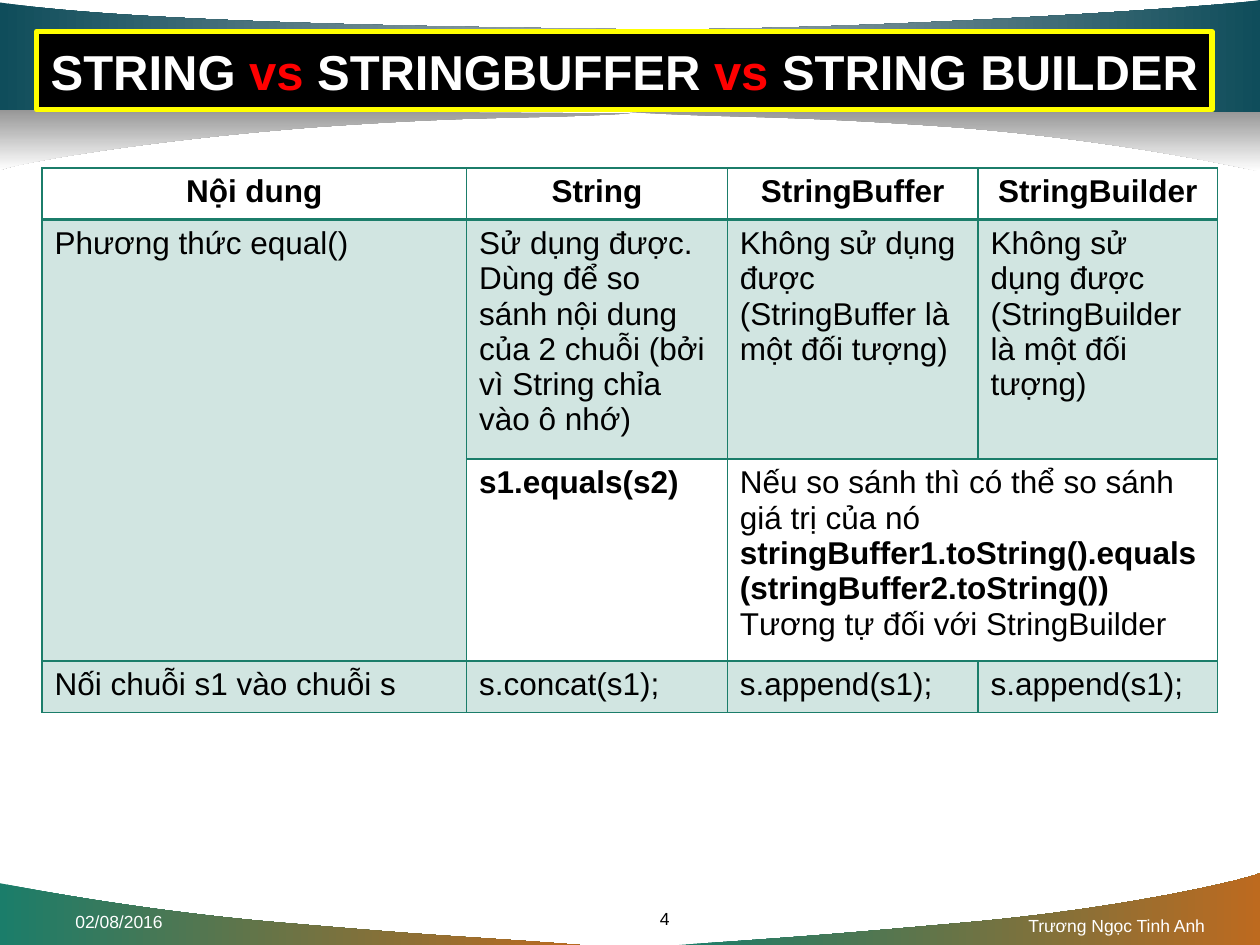
from dataclasses import dataclass
from typing import NamedTuple

from lxml.etree import SubElement
from pptx import Presentation
from pptx.dml.color import RGBColor
from pptx.enum.text import MSO_ANCHOR as Anchor, MSO_AUTO_SIZE as AutoSize, PP_ALIGN as Align
from pptx.oxml.ns import qn
from pptx.util import Inches, Pt


@dataclass(frozen=True)
class Theme:
    font: str = "Arial"
    teal: str = "1B7D6A"
    orange: str = "BD6A1F"
    navy: str = "0F4D5B"
    silver: str = "A5ACB0"
    gray: str = "969696"
    white: str = "FFFFFF"
    black: str = "000000"
    red: str = "FF0000"
    yellow: str = "FFFF00"
    title_size: int = 28
    table_size: int = 18
    footer_size: int = 10
    tint: int = 20


class Run(NamedTuple):
    text: str
    color: str | None = None
    bold: bool | None = None


class Band(NamedTuple):
    start: tuple
    curves: list
    corners: list
    colors: list
    angle: int = 0


class Entry(NamedTuple):
    row: int
    column: int
    paragraphs: list
    rows: int = 1
    columns: int = 1


class Footer(NamedTuple):
    text: str
    left: float
    top: float
    width: float
    align: Align
    color: str


THEME = Theme()
WIDTH, HEIGHT = 10, 7.5

FOOTER_COLORS = [THEME.teal, THEME.orange]
SHADE_COLORS = [THEME.gray, THEME.white]
BANDS = [
    Band((4.6, HEIGHT), [((3.84, 7.44), (3.58, 7.44), (2.32, 7.33)),
                         ((1.06, 7.23), (0.01, 7.01), (0, 7.01))],
         [(0, HEIGHT)], FOOTER_COLORS),
    Band((5.39, HEIGHT), [((6.14, 7.45), (6.46, 7.43), (7.69, 7.32)),
                          ((8.92, 7.21), (9.9, 6.98), (WIDTH, 6.93))],
         [(WIDTH, HEIGHT)], FOOTER_COLORS),
    Band((5, 0.89), [((5.84, 0.94), (6.2, 0.91), (7.58, 1.01)),
                     ((8.97, 1.12), (9.98, 1.36), (WIDTH, 1.36))],
         [(WIDTH, 0.88)], SHADE_COLORS, 90),
    Band((WIDTH, 0), [((9.64, 0.06), (6.53, 0.26), (4.87, 0.23)),
                      ((3.21, 0.21), (1.01, 0.17), (0, 0.02))],
         [(0, 0.89), (WIDTH, 0.89)], [THEME.navy, THEME.silver, THEME.navy]),
    Band((5, 0.9), [((4.16, 0.95), (3.88, 0.91), (2.49, 1.01)),
                    ((1.1, 1.12), (0.11, 1.3), (0, 1.35))],
         [(0, 0.87)], SHADE_COLORS, 90),
]

TITLE = [Run("STRING "), Run("vs", THEME.red), Run(" STRINGBUFFER "),
         Run("vs", THEME.red), Run(" STRING BUILDER")]

FOOTERS = [
    Footer("Trương Ngọc Tinh Anh", 7.58, 7.21, 2.08, Align.RIGHT, THEME.white),
    Footer("02/08/2016", 0.5, 7.18, 2, Align.LEFT, THEME.white),
    Footer("4", 4.11, 7.16, 2.33, Align.CENTER, THEME.black),
]

TABLE_LEFT, TABLE_TOP = WIDTH / 30, WIDTH * 2 / 15
COLUMN_WIDTHS = [3.37, 2.07, 1.99, 1.9]
ROW_HEIGHTS = [0.41, 1.9, 0.41, 0.41]
HEADINGS = ["Nội dung", "String", "StringBuffer", "StringBuilder"]
APPENDING = ["Nối chuỗi s1 vào chuỗi s", "s.concat(s1);", "s.append(s1);", "s.append(s1);"]
ENTRIES = [
    *(Entry(0, column, [[Run(heading, bold=True)]]) for column, heading in enumerate(HEADINGS)),
    Entry(1, 0, [[Run("Phương thức equal()")]], rows=2),
    Entry(1, 1, [[Run("Sử dụng được. Dùng để so sánh nội dung của 2 chuỗi "
                      "(bởi vì String chỉa vào ô nhớ)")]]),
    *(Entry(1, column, [[Run(f"Không sử dụng được ({HEADINGS[column]} là một đối tượng)")]])
      for column in (2, 3)),
    Entry(2, 1, [[Run("s1.equals(s2)", bold=True)]]),
    Entry(2, 2, [[Run("Nếu so sánh thì có thể so sánh giá trị của nó")],
                 [Run("stringBuffer1.toString().equals(stringBuffer2.toString())", bold=True)],
                 [Run("Tương tự đối với StringBuilder")]], columns=2),
    *(Entry(3, column, [[Run(text)]]) for column, text in enumerate(APPENDING)),
]


def rgb(color: str) -> RGBColor:
    return RGBColor.from_string(color)


def write(frame, paragraphs, *, size, color=THEME.black, bold=False,
          align=Align.LEFT, anchor=Anchor.TOP) -> None:
    frame.word_wrap = True
    frame.vertical_anchor = anchor
    for index, runs in enumerate(paragraphs):
        paragraph = frame.add_paragraph() if index else frame.paragraphs[0]
        paragraph.alignment = align
        for part in runs:
            run = paragraph.add_run()
            run.text = part.text
            run.font.name = THEME.font
            run.font.size = Pt(size)
            run.font.bold = bold if part.bold is None else part.bold
            run.font.color.rgb = rgb(part.color or color)


def bend(shape, curves: list) -> None:
    segments = list(shape.element.iter(qn("a:lnTo")))
    for segment, curve in zip(segments, curves):
        bezier = segment.makeelement(qn("a:cubicBezTo"))
        for x, y in curve:
            SubElement(bezier, qn("a:pt"), x=str(Inches(x) - shape.left),
                       y=str(Inches(y) - shape.top))
        segment.getparent().replace(segment, bezier)


def draw_band(slide, band: Band) -> None:
    points = [curve[-1] for curve in band.curves] + band.corners
    builder = slide.shapes.build_freeform(*map(Inches, band.start))
    builder.add_line_segments([(Inches(x), Inches(y)) for x, y in points], close=True)
    shape = builder.convert_to_shape()
    bend(shape, band.curves)
    shape.shadow.inherit = False
    shape.line.fill.background()
    shape.fill.gradient()
    shape.fill.gradient_angle = -band.angle % 360
    stops = shape.element.spPr.find(".//" + qn("a:gsLst"))
    for stop in list(stops):
        stops.remove(stop)
    for index, color in enumerate(band.colors):
        position = 100000 * index // (len(band.colors) - 1)
        stop = SubElement(stops, qn("a:gs"), pos=str(position))
        SubElement(stop, qn("a:srgbClr"), val=color)


def draw_title(slide) -> None:
    title = slide.shapes.title
    slide.shapes.element.append(title.element)
    title.left, title.top, title.width, title.height = map(Inches, (0.29, 0.25, 9.33, 0.62))
    title.fill.solid()
    title.fill.fore_color.rgb = rgb(THEME.black)
    title.line.color.rgb = rgb(THEME.yellow)
    title.line.width = Pt(3)
    frame = title.text_frame
    frame.auto_size = AutoSize.NONE
    frame.margin_left = frame.margin_right = Inches(0.05)
    write(frame, [TITLE], size=THEME.title_size, color=THEME.white, bold=True,
          align=Align.CENTER, anchor=Anchor.MIDDLE)


def style_cell(cell, row: int) -> None:
    properties = cell._tc.get_or_add_tcPr()
    widths = {"lnL": 1, "lnR": 1, "lnT": 2 if row == 1 else 1, "lnB": 2 if row == 0 else 1}
    for side, width in widths.items():
        border = SubElement(properties, qn(f"a:{side}"), w=str(Pt(width)))
        SubElement(SubElement(border, qn("a:solidFill")), qn("a:srgbClr"), val=THEME.teal)
    if row % 2:
        cell.fill.solid()
        cell.fill.fore_color.rgb = rgb(THEME.teal)
        SubElement(properties.find(qn("a:solidFill")).find(qn("a:srgbClr")),
                   qn("a:alpha"), val=str(THEME.tint * 1000))
    else:
        cell.fill.background()


def draw_table(slide) -> None:
    table = slide.shapes.add_table(
        len(ROW_HEIGHTS), len(COLUMN_WIDTHS), Inches(TABLE_LEFT), Inches(TABLE_TOP),
        Inches(sum(COLUMN_WIDTHS)), Inches(sum(ROW_HEIGHTS))).table
    for column, width in zip(table.columns, COLUMN_WIDTHS):
        column.width = Inches(width)
    for index, (row, height) in enumerate(zip(table.rows, ROW_HEIGHTS)):
        row.height = Inches(height)
        for cell in row.cells:
            style_cell(cell, index)
    for entry in ENTRIES:
        cell = table.cell(entry.row, entry.column)
        if entry.rows * entry.columns > 1:
            cell.merge(table.cell(entry.row + entry.rows - 1, entry.column + entry.columns - 1))
        write(cell.text_frame, entry.paragraphs, size=THEME.table_size,
              align=Align.LEFT if entry.row else Align.CENTER)


def draw_footer(slide, footer: Footer) -> None:
    box = slide.shapes.add_textbox(*map(Inches, (footer.left, footer.top, footer.width, 0.25)))
    write(box.text_frame, [[Run(footer.text)]], size=THEME.footer_size,
          color=footer.color, align=footer.align)


deck = Presentation()
deck.slide_width, deck.slide_height = Inches(WIDTH), Inches(HEIGHT)
comparison = deck.slides.add_slide(deck.slide_layouts[5])
for swoosh in BANDS:
    draw_band(comparison, swoosh)
draw_title(comparison)
for note in FOOTERS:
    draw_footer(comparison, note)
draw_table(comparison)
deck.save("out.pptx")
